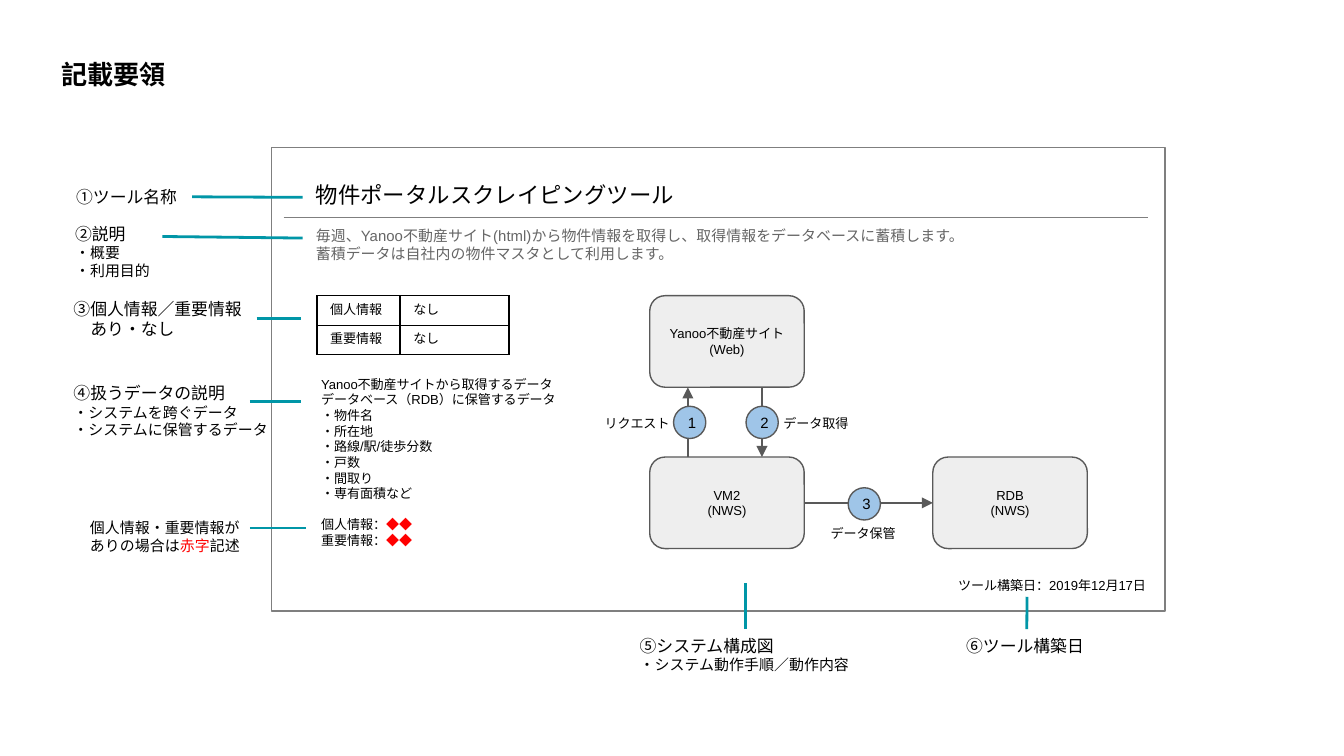
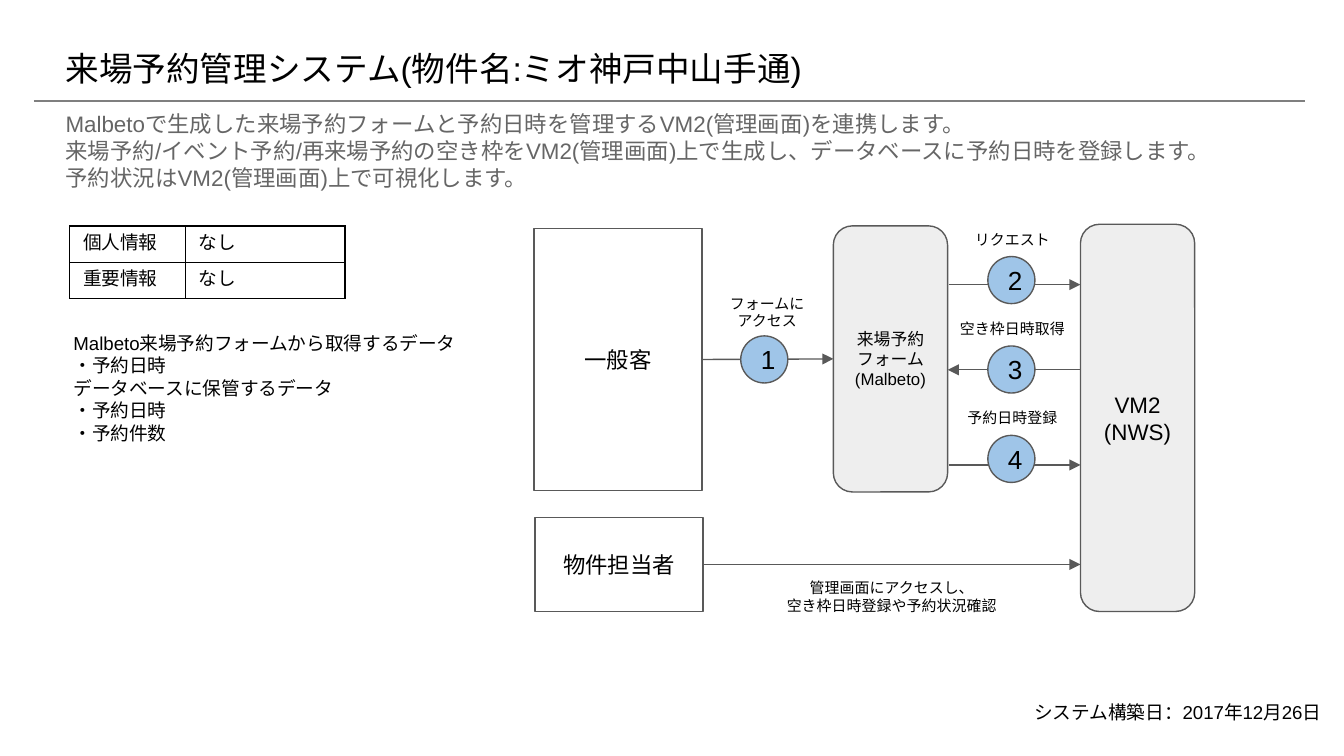
import pptx
import pptx.util
import pptx.dml.color
import pptx.enum.shapes
import pptx.enum.text
import pptx.oxml.ns
import lxml.etree

Cm, Pt = pptx.util.Cm, pptx.util.Pt
Color = pptx.dml.color.RGBColor.from_string
qn = pptx.oxml.ns.qn
Kind = pptx.enum.shapes.MSO_SHAPE
Anchor = pptx.enum.text.MSO_ANCHOR
Align = pptx.enum.text.PP_ALIGN
TOP, MID = Anchor.TOP, Anchor.MIDDLE
LEFT, CENTER = Align.LEFT, Align.CENTER


class Theme:
    font = "Arial"
    ink, grey, red = "000000", "666666", "FF0000"
    frame, edge, call = "7F7F7F", "595959", "0096A7"
    node, badge = "EEEEEE", "9FC5E8"
    thin, thick = 0.75, 1.5
    tiny, small, note, body, large, title = 7, 8, 9, 10, 12, 14
    head = 18


def write(item, text, size, rest=None, color=Theme.ink, bold=False, align=LEFT,
          anchor=TOP, pad=0.25, gaps={}, dents={}):
    """Fill a shape or cell; '*' toggles red, and rest sizes later lines.

    gaps and dents map a line number to space before (pt) and indent (cm).
    """
    frame = item.text_frame
    frame.word_wrap = True
    item_box = frame if hasattr(item, "shape_type") else item
    item_box.vertical_anchor = anchor
    item_box.margin_left = item_box.margin_right = Cm(0.25)
    item_box.margin_top = item_box.margin_bottom = Cm(pad)
    for row, line in enumerate(text.split("\n")):
        para = frame.paragraphs[0] if row == 0 else frame.add_paragraph()
        para.alignment = align
        if row in gaps:
            para.space_before = Pt(gaps[row])
        if row in dents:
            para._p.get_or_add_pPr().set("marL", str(Cm(dents[row])))
        for turn, part in enumerate(line.split("*")):
            if not part:
                continue
            run = para.add_run()
            run.text = part
            run.font.size = Pt(rest if row and rest else size)
            run.font.bold = bold
            run.font.color.rgb = Color(Theme.red if turn % 2 else color)
            run.font.name = Theme.font
            east = lxml.etree.SubElement(run.font._element, qn("a:ea"))
            east.set("typeface", Theme.font)


def link(page, ends, color=Theme.edge, width=Theme.thin, arrow=True,
         start=None, stop=None):
    """Draw a line; start and stop are (shape, side) pairs to join."""
    line = page.shapes.add_connector(
        pptx.enum.shapes.MSO_CONNECTOR.STRAIGHT, *map(Cm, ends))
    if start:
        line.begin_connect(*start)
    if stop:
        line.end_connect(*stop)
    line.line.color.rgb = Color(color)
    line.line.width = Pt(width)
    props = line._element.spPr
    if arrow:
        tail = lxml.etree.SubElement(props.find(qn("a:ln")), qn("a:tailEnd"))
        tail.set("type", "triangle")
    lxml.etree.SubElement(props, qn("a:effectLst"))


deck = pptx.Presentation()
deck.slide_width, deck.slide_height = Cm(25.4), Cm(14.29)
guide, visit = [deck.slides.add_slide(deck.slide_layouts[6]) for _ in range(2)]

# Outer frame of the sample sheet
sheet = guide.shapes.add_shape(
    Kind.RECTANGLE, *map(Cm, (5.13, 2.79, 16.89, 8.76)))
sheet.shadow.inherit = False
sheet.fill.background()
sheet.line.color.rgb = Color(Theme.frame)
sheet.line.width = Pt(Theme.thin)

# Titles, descriptions, data lists and dates
texts = [
    (guide, "記載要領", (0.91, 0.86, 23.67, 0.94),
     dict(size=Theme.title, bold=True)),
    (guide, "物件ポータルスクレイピングツール", (5.72, 3.28, 10.19, 0.81),
     dict(size=Theme.large, anchor=MID)),
    (guide, "毎週、Yanoo不動産サイト(html)から物件情報を取得し、"
     "取得情報をデータベースに蓄積します。\n"
     "蓄積データは自社内の物件マスタとして利用します。",
     (5.72, 4.04, 14.61, 0.76), dict(size=Theme.small, color=Theme.grey)),
    (guide, "Yanoo不動産サイトから取得するデータ\n"
     "データベース（RDB）に保管するデータ\n・物件名\n・所在地\n"
     "・路線/駅/徒歩分数\n・戸数\n・間取り\n・専有面積など\n"
     "個人情報：*◆◆*\n重要情報：*◆◆*",
     (5.82, 6.86, 5.05, 3.61), dict(size=Theme.tiny, gaps={8: 8})),
    (guide, "ツール構築日：2019年12月17日", (17.86, 10.67, 4.22, 0.89),
     dict(size=Theme.tiny)),
    (visit, "来場予約管理システム(物件名:ミオ神戸中山手通)",
     (0.99, 0.66, 23.67, 1.6), dict(size=Theme.head)),
    (visit, "Malbetoで生成した来場予約フォームと予約日時を管理する"
     "VM2(管理画面)を連携します。\n"
     "来場予約/イベント予約/再来場予約の空き枠をVM2(管理画面)上で生成し、"
     "データベースに予約日時を登録します。\n"
     "予約状況はVM2(管理画面)上で可視化します。",
     (0.99, 2.24, 22.94, 1.22),
     dict(size=Theme.large, color=Theme.grey, anchor=MID)),
    (visit, "Malbeto来場予約フォームから取得するデータ\n・予約日時\n"
     "データベースに保管するデータ\n・予約日時\n・予約件数",
     (1.14, 6.02, 7.8, 4.65), dict(size=Theme.body)),
    (visit, "システム構築日：2017年12月26日", (19.3, 13, 5.99, 0.89),
     dict(size=Theme.body)),
]
for page, text, spot, form in texts:
    write(page.shapes.add_textbox(*map(Cm, spot)), text, **form)

# Rules under the headings
link(guide, (5.36, 4.11, 21.69, 4.11), Theme.frame, arrow=False)
link(visit, (0.64, 1.91, 24.66, 1.91), Theme.frame, arrow=False)

# Tables of personal and important information
tables = [
    (guide, (5.99, 5.59), (1.57, 2.06), 0.55, Theme.tiny),
    (visit, (1.32, 4.27), (2.18, 3.02), 0.57, Theme.body),
]
for page, spot, wide, high, size in tables:
    grid = page.shapes.add_table(
        2, 2, *map(Cm, (*spot, sum(wide), 2 * high))).table
    grid.first_row = grid.horz_banding = False
    for col, width in zip(grid.columns, wide):
        col.width = Cm(width)
    for row, name in enumerate(("個人情報", "重要情報")):
        grid.rows[row].height = Cm(high)
        for col, text in enumerate((name, "なし")):
            cell = grid.cell(row, col)
            write(cell, text, size, pad=0.13)
            props = cell._tc.get_or_add_tcPr()
            for side in ("lnL", "lnR", "lnT", "lnB"):
                edge = lxml.etree.SubElement(props, qn("a:" + side))
                edge.set("w", str(Pt(Theme.thin)))
                fill = lxml.etree.SubElement(edge, qn("a:solidFill"))
                tone = lxml.etree.SubElement(fill, qn("a:srgbClr"))
                tone.set("val", Theme.ink)
            cell.fill.background()

# Nodes of both system diagrams
nodes = [
    ("site", guide, "Yanoo不動産サイト(Web)", (12.28, 5.59, 2.92, 1.73), Theme.tiny),
    ("host", guide, "VM2\n(NWS)", (12.28, 8.64, 2.92, 1.73), Theme.tiny),
    ("store", guide, "RDB\n(NWS)", (17.63, 8.64, 2.92, 1.73), Theme.tiny),
    ("staff", visit, "物件担当者", (10.11, 9.78, 3.18, 1.78), Theme.large),
    ("guest", visit, "一般客", (10.09, 4.32, 3.18, 4.95), Theme.large),
    ("admin", visit, "VM2\n(NWS)", (20.42, 4.24, 2.16, 7.32), Theme.large),
    ("form", visit, "来場予約フォーム\n(Malbeto)", (15.75, 4.27, 2.16, 5.03),
     Theme.note),
]
node = {}
for key, page, text, spot, size in nodes:
    plain = key in ("staff", "guest")
    kind = Kind.RECTANGLE if plain else Kind.ROUNDED_RECTANGLE
    box = node[key] = page.shapes.add_shape(kind, *map(Cm, spot))
    box.shadow.inherit = False
    if plain:
        box.fill.background()
    else:
        box.fill.solid()
        box.fill.fore_color.rgb = Color(Theme.node)
    box.line.color.rgb = Color(Theme.edge)
    box.line.width = Pt(Theme.thin)
    write(box, text, size, align=CENTER, anchor=MID)

# Arrows between the nodes
link(guide, (13, 8.64, 13, 7.32))
link(guide, (14.4, 7.32, 14.4, 8.64))
link(guide, (15.2, 9.5, 17.63, 9.5),
     start=(node["host"], 3), stop=(node["store"], 1))
link(visit, (13.27, 6.8, 15.75, 6.8),
     start=(node["guest"], 3), stop=(node["form"], 1))
link(visit, (13.29, 10.67, 20.42, 10.67), start=(node["staff"], 3))
link(visit, (17.93, 5.38, 20.42, 5.38))
link(visit, (20.42, 6.99, 17.91, 6.99))
link(visit, (17.93, 8.79, 20.42, 8.79))

# Numbered steps
steps = [
    (guide, 0.61, Theme.small, [(12.73, 7.68), (14.1, 7.68), (16.03, 9.22)]),
    (visit, 0.89, Theme.title,
     [(14, 6.35)] + [(18.67, 4.85 + 1.69 * row) for row in range(3)]),
]
for page, wide, size, spots in steps:
    for count, spot in enumerate(spots, 1):
        dot = page.shapes.add_shape(Kind.OVAL, *map(Cm, (*spot, wide, wide)))
        dot.shadow.inherit = False
        dot.fill.solid()
        dot.fill.fore_color.rgb = Color(Theme.badge)
        dot.line.color.rgb = Color(Theme.edge)
        dot.line.width = Pt(Theme.thin)
        write(dot, str(count), size, align=CENTER, anchor=MID)

# Labels of the steps
labels = [
    (guide, "リクエスト", (11.15, 7.77, 1.78, 0.46)),
    (guide, "データ取得", (14.53, 7.77, 1.78, 0.46)),
    (guide, "データ保管", (15.39, 9.86, 1.85, 0.43)),
    (visit, "フォームに\nアクセス", (12.9, 5.31, 3.2, 1.04)),
    (visit, "管理画面にアクセスし、\n空き枠日時登録や予約状況確認",
     (14.25, 10.69, 5.21, 1.04)),
]
for row, text in enumerate(("リクエスト", "空き枠日時取得", "予約日時登録")):
    labels.append((visit, text, (17.7, 4.19 + 1.68 * row, 2.87, 1.04)))
for page, text, spot in labels:
    size, anchor = (Theme.tiny, MID) if page is guide else (Theme.small, TOP)
    write(page.shapes.add_textbox(*map(Cm, spot)), text, size,
          align=CENTER, anchor=anchor)

# Callouts around the sample sheet: text, place, line, joined side, format
calls = [
    ("①ツール名称", (1.19, 3.4, 2.44, 0.64), (3.63, 3.72, 5.72, 3.73), 3, {}),
    ("②説明\n・概要\n・利用目的", (1.17, 4.09, 1.93, 1.32),
     (3.07, 4.47, 5.72, 4.5), None, dict(rest=Theme.small)),
    ("③個人情報／重要情報\nあり・なし", (1.14, 5.51, 3.71, 1.02),
     (4.85, 6.02, 5.69, 6.02), 3, dict(dents={1: 0.32})),
    ("④扱うデータの説明\n・システムを跨ぐデータ\n・システムに保管するデータ",
     (1.14, 7.11, 4.22, 1.32), (4.72, 7.59, 5.69, 7.59), None,
     dict(rest=Theme.small)),
    ("個人情報・重要情報がありの場合は*赤字*記述", (1.45, 9.68, 3.4, 0.94),
     (4.72, 9.98, 5.79, 9.98), None, dict(size=Theme.small)),
    ("⑤システム構成図\n・システム動作手順／動作内容", (11.84, 11.89, 4.5, 0.99),
     (14.09, 11.89, 14.09, 11.02), 0, dict(rest=Theme.small)),
    ("⑥ツール構築日", (18.01, 11.89, 2.79, 0.66),
     (19.41, 11.89, 19.41, 11.28), 0, {}),
]
for text, spot, ends, side, form in calls:
    box = guide.shapes.add_textbox(*map(Cm, spot))
    write(box, text, **{"size": Theme.note, "pad": 0.13, **form})
    link(guide, ends, Theme.call, Theme.thick, arrow=False,
         start=None if side is None else (box, side))

deck.save("out.pptx")
